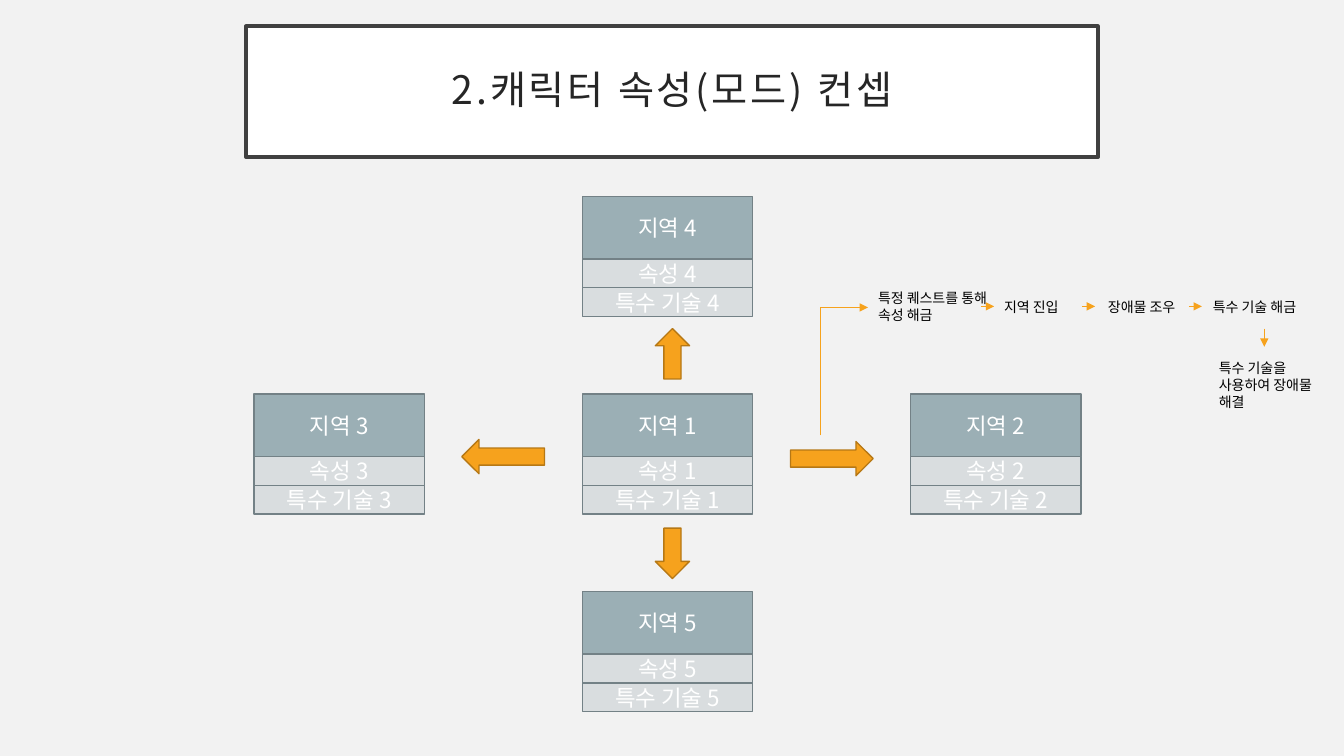
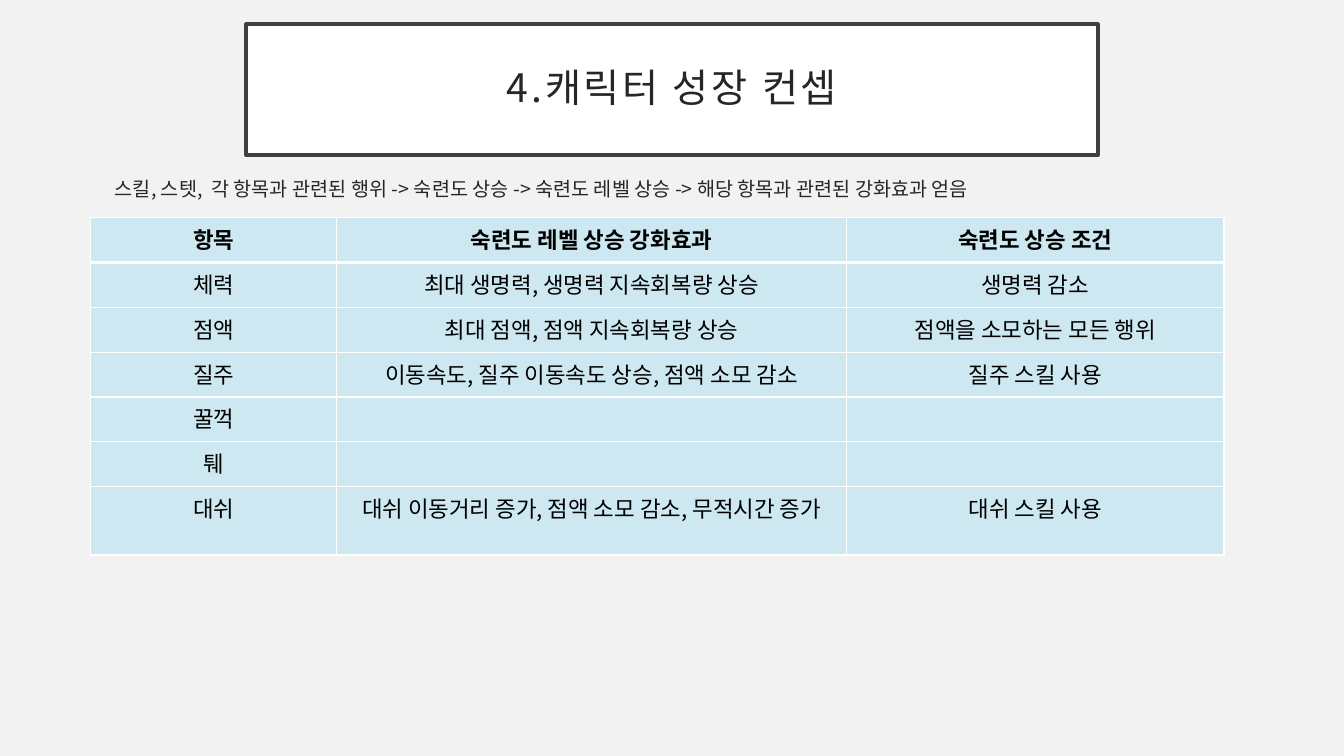
from dataclasses import dataclass
from lxml.etree import SubElement
from pptx import Presentation
from pptx.dml.color import RGBColor
from pptx.enum.shapes import MSO_CONNECTOR, MSO_SHAPE
from pptx.enum.text import MSO_ANCHOR, MSO_AUTO_SIZE, PP_ALIGN
from pptx.oxml.ns import qn
from pptx.slide import Slide
from pptx.table import _Cell
from pptx.text.text import _Paragraph
from pptx.util import Emu, Inches, Pt

WIDE, HIGH = Inches(13.33), Inches(7.5)


@dataclass(frozen=True)
class Theme:
    font: str = "Noto Sans CJK KR"
    back: str = "F2F2F2"
    white: str = "FFFFFF"
    black: str = "000000"
    ink: str = "262626"
    frame: str = "404040"
    head: str = "9BAFB5"
    row: str = "D9DDDF"
    edge: str = "738186"
    gold: str = "F6A21D"
    rim: str = "B67815"
    cell: str = "00B0F0"
    big: int = 28
    mid: int = 16
    lead: int = 14
    small: int = 10


@dataclass(frozen=True)
class Box:
    """Shares of the slide, in percent."""
    left: float
    top: float
    width: float
    height: float

    def emu(self) -> tuple[Emu, Emu, Emu, Emu]:
        return across(self.left), down(self.top), across(self.width), down(self.height)


@dataclass(frozen=True)
class Zone:
    num: int
    col: int
    row: int


@dataclass(frozen=True)
class Arrow:
    box: Box
    turn: int


@dataclass(frozen=True)
class Step:
    text: str
    box: Box


@dataclass(frozen=True)
class Link:
    left: float
    top: float
    right: float
    end: float
    bent: bool = False


THEME = Theme()
CARD_X, CARD_Y = 18.9, 26
STEP_X, STEP_Y = 24.42, 26.13
CARD_W, HEAD_H, ROW_H = 12.68, 8.27, 3.8
LINE_Y = 40.53

ZONES = [Zone(1, 1, 1), Zone(2, 2, 1), Zone(3, 0, 1), Zone(4, 1, 0), Zone(5, 1, 2)]
ARROWS = [
    Arrow(Box(58.82, 58.4, 6.15, 4.53), 0),
    Arrow(Box(34.36, 58.13, 6.15, 4.53), 180),
    Arrow(Box(48.16, 44.53, 3.75, 4.53), 270),
    Arrow(Box(48.16, 70.93, 3.75, 4.53), 90),
]
STEPS = [
    Step("특정 퀘스트를 통해 속성 해금", Box(64.59, 37.6, 9.98, 5.87)),
    Step("지역 진입", Box(73.97, 38.8, 6.08, 3.6)),
    Step("장애물 조우", Box(81.7, 38.8, 7.5, 3.6)),
    Step("특수 기술 해금", Box(89.5, 38.8, 9.23, 3.6)),
    Step("특수 기술을 사용하여 장애물 해결", Box(89.95, 46.93, 8.78, 8.13)),
]
LINKS = [Link(61.07, 57.6, 64.59, 40.67, True)]
LINKS += [Link(x, LINE_Y, x + 0.98, LINE_Y) for x in (72.99, 80.5, 88.45)]
LINKS += [Link(94.07, 43.47, 94.07, 45.87)]

COLS = [18.3, 37.93, 28.1]
ROWS = [5.93] * 6 + [9.07]
CELLS = [
    ("항목", "숙련도 레벨 상승 강화효과", "숙련도 상승 조건"),
    ("체력", "최대 생명력, 생명력 지속회복량 상승", "생명력 감소"),
    ("점액", "최대 점액, 점액 지속회복량 상승", "점액을 소모하는 모든 행위"),
    ("질주", "이동속도, 질주 이동속도 상승, 점액 소모 감소", "질주 스킬 사용"),
    ("꿀꺽", "", ""),
    ("퉤", "", ""),
    ("대쉬", "대쉬 이동거리 증가, 점액 소모 감소, 무적시간 증가", "대쉬 스킬 사용"),
]


def across(share: float) -> Emu:
    return Emu(round(WIDE * share / 100))


def down(share: float) -> Emu:
    return Emu(round(HIGH * share / 100))


def tint(code: str) -> RGBColor:
    return RGBColor.from_string(code)


def place(shape, box: Box) -> None:
    shape.left, shape.top, shape.width, shape.height = box.emu()


def paint(shape, fill: str, line: str, width: float = 1) -> None:
    shape.fill.solid()
    shape.fill.fore_color.rgb = tint(fill)
    shape.line.color.rgb = tint(line)
    shape.line.width = Pt(width)


def write(para: _Paragraph, text: str, size: int, code: str,
          bold: bool = False, space: int = 0) -> None:
    run = para.add_run()
    run.text = text
    font = run.font
    font.size, font.bold, font.name = Pt(size), bold, THEME.font
    font.color.rgb = tint(code)
    props = run._r.get_or_add_rPr()
    SubElement(props, qn("a:ea"), typeface=THEME.font)
    if space:
        props.set("spc", str(space * 100))


def add_title(slide: Slide, text: str, top: float) -> None:
    title = slide.shapes.title
    place(title, Box(18.3, top, 63.4, 17.33))
    paint(title, THEME.white, THEME.frame, 2.5)
    frame = title.text_frame
    frame.word_wrap, frame.auto_size = True, MSO_AUTO_SIZE.NONE
    frame.vertical_anchor = MSO_ANCHOR.MIDDLE
    frame.margin_left = frame.margin_right = Inches(0.2)
    frame.margin_top = frame.margin_bottom = Inches(0.2)
    para = frame.paragraphs[0]
    para.alignment, para.line_spacing = PP_ALIGN.CENTER, 0.9
    write(para, text, THEME.big, THEME.ink, space=2)


def add_block(slide: Slide, box: Box, fill: str, text: str) -> None:
    block = slide.shapes.add_shape(MSO_SHAPE.RECTANGLE, *box.emu())
    block.shadow.inherit = False
    paint(block, fill, THEME.edge)
    frame = block.text_frame
    frame.word_wrap, frame.vertical_anchor = True, MSO_ANCHOR.MIDDLE
    para = frame.paragraphs[0]
    para.alignment = PP_ALIGN.CENTER
    write(para, text, THEME.mid, THEME.white)


def add_zone(slide: Slide, zone: Zone) -> None:
    left, top = CARD_X + zone.col * STEP_X, CARD_Y + zone.row * STEP_Y
    for label, fill, high in (("지역", THEME.head, HEAD_H),
                              ("속성", THEME.row, ROW_H),
                              ("특수 기술", THEME.row, ROW_H)):
        add_block(slide, Box(left, top, CARD_W, high), fill, f"{label} {zone.num}")
        top += high


def add_arrow(slide: Slide, arrow: Arrow) -> None:
    shape = slide.shapes.add_shape(MSO_SHAPE.RIGHT_ARROW, *arrow.box.emu())
    shape.shadow.inherit = False
    shape.rotation = arrow.turn
    paint(shape, THEME.gold, THEME.rim)


def add_step(slide: Slide, step: Step) -> None:
    frame = slide.shapes.add_textbox(*step.box.emu()).text_frame
    frame.word_wrap, frame.auto_size = True, MSO_AUTO_SIZE.SHAPE_TO_FIT_TEXT
    write(frame.paragraphs[0], step.text, THEME.small, THEME.black)


def add_link(slide: Slide, link: Link) -> None:
    kind = MSO_CONNECTOR.ELBOW if link.bent else MSO_CONNECTOR.STRAIGHT
    line = slide.shapes.add_connector(kind, across(link.left), down(link.top),
                                      across(link.right), down(link.end))
    line.line.color.rgb = tint(THEME.gold)
    line.line.width = Pt(0.5)
    props = line._element.spPr
    SubElement(props.find(qn("a:ln")), qn("a:tailEnd"), type="triangle")
    SubElement(props, qn("a:effectLst"))
    if link.bent:
        guides = props.find(qn("a:prstGeom")).get_or_add_avLst()
        SubElement(guides, qn("a:gd"), name="adj1", fmla="val 0")


def add_lead(slide: Slide, text: str) -> None:
    body = slide.placeholders[1]
    place(body, Box(7.8, 22.8, 84.32, 64.8))
    frame = body.text_frame
    frame.word_wrap, frame.auto_size = True, MSO_AUTO_SIZE.NONE
    para = frame.paragraphs[0]
    para.space_before = Pt(10)
    props = para._p.get_or_add_pPr()
    props.set("marL", "0")
    props.set("indent", "0")
    SubElement(props, qn("a:buNone"))
    write(para, text, THEME.lead, THEME.ink)


def style_cell(cell: _Cell, row: int) -> None:
    props = cell._tc.get_or_add_tcPr()
    widths = {"L": 1, "R": 1, "T": 3 if row == 1 else 1, "B": 3 if row == 0 else 1}
    for side, width in widths.items():
        line = SubElement(props, qn(f"a:ln{side}"), w=str(Pt(width)))
        fill = SubElement(line, qn("a:solidFill"))
        SubElement(fill, qn("a:srgbClr"), val=THEME.white)
    cell.fill.solid()
    cell.fill.fore_color.rgb = tint(THEME.cell)
    shade = props.find(qn("a:solidFill")).find(qn("a:srgbClr"))
    SubElement(shade, qn("a:alpha"), val="15000")


def add_grid(slide: Slide) -> None:
    box = Box(6.75, 28.8, sum(COLS), sum(ROWS))
    table = slide.shapes.add_table(len(ROWS), len(COLS), *box.emu()).table
    table.horz_banding = False
    for col, share in zip(table.columns, COLS):
        col.width = across(share)
    for row, share in zip(table.rows, ROWS):
        row.height = down(share)
    for r, texts in enumerate(CELLS):
        for c, text in enumerate(texts):
            cell = table.cell(r, c)
            style_cell(cell, r)
            para = cell.text_frame.paragraphs[0]
            para.alignment = PP_ALIGN.CENTER
            if text:
                write(para, text, THEME.mid, THEME.black, bold=r == 0)


def main() -> None:
    deck = Presentation()
    deck.slide_width, deck.slide_height = WIDE, HIGH
    back = deck.slide_master.background.fill
    back.solid()
    back.fore_color.rgb = tint(THEME.back)

    modes = deck.slides.add_slide(deck.slide_layouts[5])
    add_title(modes, "2.캐릭터 속성(모드) 컨셉", 3.47)
    for draw, items in ((add_zone, ZONES), (add_arrow, ARROWS),
                        (add_step, STEPS), (add_link, LINKS)):
        for item in items:
            draw(modes, item)

    growth = deck.slides.add_slide(deck.slide_layouts[1])
    add_title(growth, "4.캐릭터 성장 컨셉", 3.2)
    add_lead(growth, "스킬, 스텟,  각 항목과 관련된 행위 -> 숙련도 상승 -> "
                     "숙련도 레벨 상승 -> 해당 항목과 관련된 강화효과 얻음")
    add_grid(growth)
    deck.save("out.pptx")


main()
